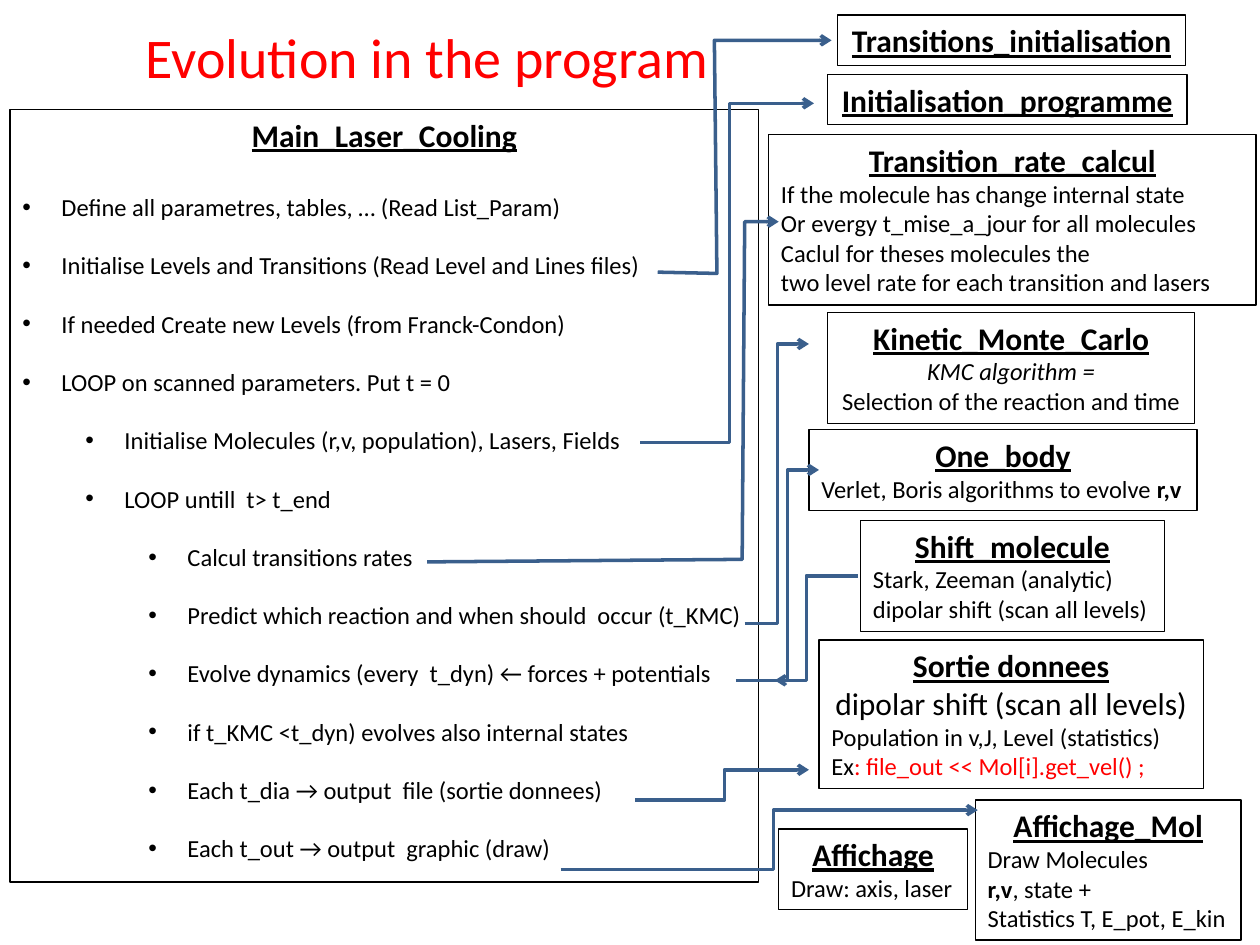
from lxml import etree
from pptx import Presentation
from pptx.dml.color import RGBColor
from pptx.enum.text import MSO_AUTO_SIZE, PP_ALIGN
from pptx.oxml.ns import qn
from pptx.util import Inches, Pt

LEFT, CENTER = PP_ALIGN.LEFT, PP_ALIGN.CENTER
GROW = MSO_AUTO_SIZE.SHAPE_TO_FIT_TEXT
COLORS = {name: RGBColor.from_string(code) for name, code in {
    "ink": "000000", "red": "FF0000", "arrow": "3A5F8C"}.items()}

deck = Presentation()
deck.slide_width, deck.slide_height = Inches(10), Inches(7.5)
slide = deck.slides.add_slide(deck.slide_layouts[6])


def add_box(place, wrap, border=True):
    box = slide.shapes.add_textbox(*map(Inches, place))
    box.text_frame.word_wrap = wrap
    if border:
        box.line.color.rgb = COLORS["ink"]
        box.line.width = Pt(0.75)
    return box.text_frame


def add_line(frame, text, size=14, align=LEFT, color="ink", head=False):
    """Add a paragraph; text is a string or a list of runs."""
    first = not frame.paragraphs[0].runs
    para = frame.paragraphs[0] if first else frame.add_paragraph()
    para.alignment = align
    font = para.font
    font.name, font.size = "Calibri", Pt(size)
    font.color.rgb = COLORS[color]
    if head:
        font.bold = font.underline = True
    for part in [text] if isinstance(text, str) else text:
        para.add_run().text = part
    return para


# Main program with its nested steps
main = add_box((0.08, 0.87, 5.94, 6.13), True)
add_line(main, "Main_Laser_Cooling", 18, CENTER, head=True)
steps = [
    (0, "Define all parametres, tables, … (Read List_Param)"),
    (0, "Initialise Levels and Transitions (Read Level and Lines files)"),
    (0, "If needed Create new Levels (from Franck-Condon)"),
    (0, "LOOP on scanned parameters. Put t = 0"),
    (1, "Initialise Molecules (r,v, population), Lasers, Fields"),
    (1, "LOOP untill  t> t_end"),
    (2, "Calcul transitions rates"),
    (2, "Predict which reaction and when should  occur (t_KMC)"),
    (2, "Evolve dynamics (every  t_dyn) ← forces + potentials"),
    (2, "if t_KMC <t_dyn) evolves also internal states"),
    (2, "Each t_dia → output  file (sortie donnees)"),
    (2, "Each t_out → output  graphic (draw)"),
]
for row, (level, text) in enumerate(steps):
    para = add_line(main, text)
    para.level = level
    para.space_before = Pt(16.5 if row else 22)
    props = para._p.get_or_add_pPr()
    props.set("marL", str(Inches(0.31 + 0.5 * level)))
    props.set("indent", str(-Inches(0.31)))
    etree.SubElement(props, qn("a:buFont")).set("typeface", "Arial")
    etree.SubElement(props, qn("a:buChar")).set("char", "•")

# Routine boxes: place, heading, left-aligned lines
boxes = [
    ((6.57, 0.59, 2.85, 0.4), "Initialisation_programme", []),
    ((6.18, 6.58, 1.5, 0.64), "Affichage", ["Draw: axis, laser"]),
    ((6.57, 2.48, 2.91, 0.88), "Kinetic_Monte_Carlo",
     ["KMC algorithm =", "Selection of the reaction and time"]),
    ((6.83, 4.13, 2.41, 0.88), "Shift_molecule",
     ["Stark, Zeeman (analytic)", "dipolar shift (scan all levels)"]),
    ((6.5, 5.08, 3.05, 1.18), "Sortie donnees",
     ["dipolar shift (scan all levels)",
      "Population in v,J, Level (statistics)",
      ["Ex", ": file_out << Mol[i].get_vel() ;"]]),
    ((6.1, 1.07, 3.87, 1.35), "Transition_rate_calcul",
     ["If the molecule has change internal state",
      "Or evergy t_mise_a_jour for all molecules",
      "Caclul for theses molecules the",
      "two level rate for each transition and lasers"]),
    ((6.65, 0.12, 2.76, 0.4), "Transitions_initialisation", []),
    ((7.74, 6.35, 2.11, 1.11), "Affichage_Mol",
     ["Draw Molecules", ["r,v", ", state +"], "Statistics T, E_pot, E_kin"]),
    ((6.42, 3.41, 3.08, 0.64), "One_body",
     [["Verlet, Boris algorithms to evolve ", "r,v"]]),
]
frames = {}
for place, head, lines in boxes:
    frame = frames[head] = add_box(place, False)
    frame.auto_size = GROW
    add_line(frame, head, 18, CENTER, head=True)
    for text in lines:
        add_line(frame, text)

# Lines that differ from the common style
kinetic = frames["Kinetic_Monte_Carlo"].paragraphs
kinetic[1].alignment = kinetic[2].alignment = CENTER
kinetic[1].font.italic = True
output = frames["Sortie donnees"].paragraphs
output[1].alignment, output[1].font.size = CENTER, Pt(18)
output[3].runs[1].font.color.rgb = COLORS["red"]
frames["Affichage_Mol"].paragraphs[2].runs[0].font.bold = True
frames["One_body"].paragraphs[1].runs[1].font.bold = True

# Title
title = add_box((0.18, 0.13, 6.42, 0.64), True, border=False)
add_line(title, "Evolution in the program", 32, CENTER, "red")

# Bent arrows between steps and routines
routes = [
    [(5.22, 2.16), (5.69, 2.17), (5.67, 0.32), (6.6, 0.32)],
    [(5.08, 3.51), (5.79, 3.51), (5.79, 0.82), (6.46, 0.82)],
    [(3.39, 4.46), (5.89, 4.44), (5.91, 1.76), (6.18, 1.76)],
    [(5.91, 4.95), (6.17, 4.95), (6.17, 2.73), (6.42, 2.73)],
    [(5.84, 5.4), (6.25, 5.4), (6.25, 3.73), (6.5, 3.73)],
    [(6.81, 4.57), (6.4, 4.57), (6.4, 5.4), (6.15, 5.4)],
    [(5.04, 6.35), (5.75, 6.35), (5.75, 6.11), (6.42, 6.11)],
    [(4.45, 6.9), (6.14, 6.9), (6.14, 6.43), (7.76, 6.43)],
]
for route in routes:
    start, *rest = [(Inches(x), Inches(y)) for x, y in route]
    pen = slide.shapes.build_freeform(*start)
    pen.add_line_segments(rest, close=False)
    arrow = pen.convert_to_shape()
    arrow.shadow.inherit = False
    arrow.fill.background()
    arrow.line.color.rgb = COLORS["arrow"]
    arrow.line.width = Pt(2)
    line = arrow.line._get_or_add_ln()
    etree.SubElement(line, qn("a:tailEnd")).set("type", "arrow")

deck.save("out.pptx")
